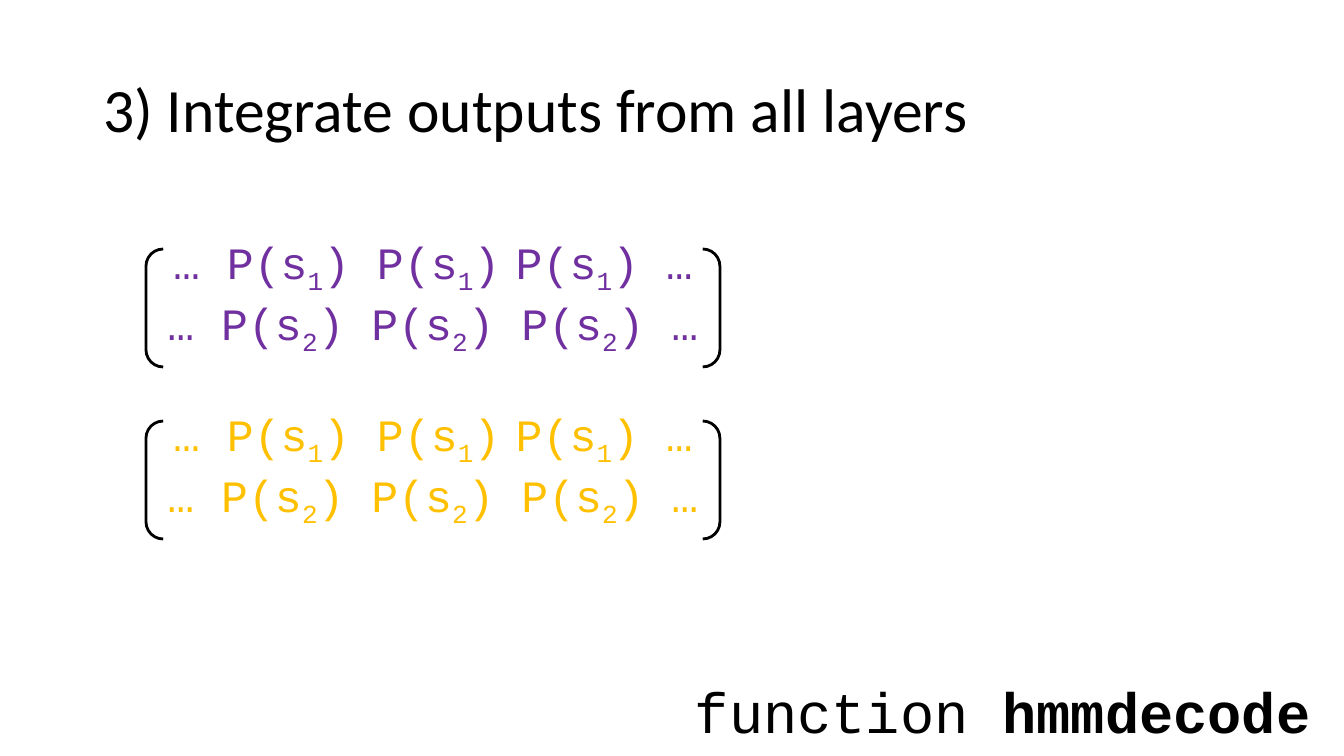
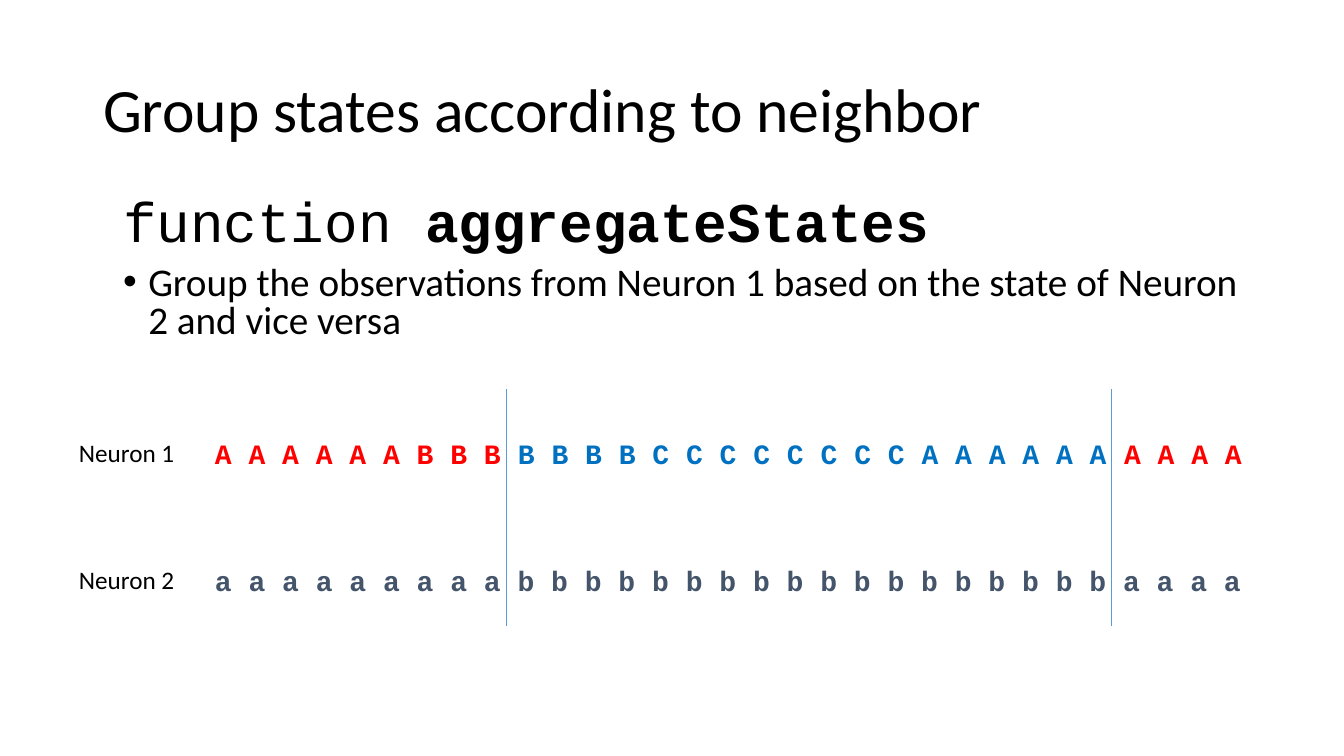
from lxml.etree import SubElement
from pptx import Presentation
from pptx.dml.color import RGBColor
from pptx.enum.shapes import MSO_CONNECTOR as CONN, MSO_SHAPE as SHAPE
from pptx.enum.text import MSO_ANCHOR as ANCHOR, MSO_AUTO_SIZE as AUTO, PP_ALIGN as ALIGN
from pptx.oxml.ns import qn
from pptx.util import Inches, Pt

SANS, MONO = "Calibri", "Courier New"
BLACK, PURPLE, GOLD = "000000", "7030A0", "FFC000"
RED, BLUE, SLATE, RULE = "FF0000", "0070C0", "44546A", "5B9BD5"
TITLE_ONLY, TITLE_AND_BODY = 5, 1


def px(n):
    """Turn picture pixels into EMU."""
    return round(n * 914400 / 100.8)


def rgb(value):
    """Turn a hex string into a colour."""
    return RGBColor.from_string(value)


class Deck:
    """The shared style and the current slide."""

    def __init__(self):
        """Start a wide presentation."""
        self.prs = Presentation()
        self.prs.slide_width, self.prs.slide_height = px(1344), px(756)

    def slide(self, title, layout=TITLE_ONLY):
        """Add a slide and format its title."""
        self.s = self.prs.slides.add_slide(self.prs.slide_layouts[layout])
        tf = self.place(self.s.shapes.title, (93, 40, 1159, 146), ANCHOR.MIDDLE)
        self.run(self.para(tf, align=ALIGN.LEFT, spacing=0.9), title, 44)

    def place(self, sp, box, anchor=ANCHOR.TOP):
        """Move a shape and set up its text frame."""
        sp.left, sp.top, sp.width, sp.height = map(px, box)
        tf = sp.text_frame
        tf.word_wrap, tf.auto_size = True, AUTO.NONE
        tf.vertical_anchor = anchor
        return tf

    def para(self, tf, first=True, align=None, spacing=None, before=None):
        """Return the first paragraph or a new one, formatted."""
        p = tf.paragraphs[0] if first else tf.add_paragraph()
        p.alignment, p.line_spacing = align, spacing
        if before is not None:
            p.space_before = Pt(before)
        return p

    def run(self, p, text, size, font=SANS, color=BLACK, bold=False, sub=False):
        """Add one run of text."""
        r = p.add_run()
        r.text = text
        r.font.size, r.font.name, r.font.bold = Pt(size), font, bold
        r.font.color.rgb = rgb(color)
        if sub:
            r._r.get_or_add_rPr().set("baseline", "-25000")

    def bullet(self, p, char=None):
        """Give a paragraph a bullet with a hanging indent, or none."""
        indent = Inches(0.25) if char else 0
        pPr = p._p.get_or_add_pPr()
        pPr.set("marL", str(indent))
        pPr.set("indent", str(-indent))
        if char:
            SubElement(pPr, qn("a:buFont")).set("typeface", "Arial")
            SubElement(pPr, qn("a:buChar")).set("char", char)
        else:
            SubElement(pPr, qn("a:buNone"))

    def text(self, box, runs, size, font=SANS, anchor=ANCHOR.TOP, spacing=None):
        """Add a one-line text box from (text, colour, bold) runs."""
        tf = self.place(self.s.shapes.add_textbox(0, 0, 0, 0), box, anchor)
        p = self.para(tf, spacing=spacing)
        for words, color, bold in runs:
            self.run(p, words, size, font, color, bold)

    def body(self, box, function, point):
        """Fill the body placeholder with a function name and a bullet."""
        tf = self.place(self.s.placeholders[1], box)
        p = self.para(tf, spacing=0.8, before=10)
        self.bullet(p)
        self.run(p, "function ", 40, MONO)
        self.run(p, function, 40, MONO, bold=True)
        p = self.para(tf, first=False, spacing=0.8, before=10)
        self.bullet(p, "•")
        self.run(p, point, 28)

    def matrix(self, box, color):
        """Add a bracketed matrix of state probabilities."""
        sp = self.s.shapes.add_shape(SHAPE.DOUBLE_BRACKET, 0, 0, 0, 0)
        sp.shadow.inherit = False
        sp.adjustments[0] = 0.146
        sp.fill.background()
        sp.line.color.rgb, sp.line.width = rgb(BLACK), Pt(2)
        tf = self.place(sp, box, ANCHOR.BOTTOM)
        # The last gap of the first row is as narrow as a subscript.
        for state, last_gap_is_sub in (("1", True), ("2", False)):
            p = self.para(tf, first=state == "1", align=ALIGN.CENTER)
            pieces = [("… P(s", False), (state, True), (") P(s", False), (state, True),
                      (")", False), (" ", last_gap_is_sub), ("P(s", False),
                      (state, True), (") …", False)]
            for words, sub in pieces:
                self.run(p, words, 32, MONO, color, sub=sub)

    def divider(self, x, top, bottom):
        """Add a thin vertical line."""
        c = self.s.shapes.add_connector(CONN.STRAIGHT, px(x), px(bottom), px(x), px(top))
        c.line.color.rgb, c.line.width = rgb(RULE), Pt(0.5)
        SubElement(c._element.spPr, qn("a:effectLst"))


def integrate_slide(deck):
    """Build the slide on joining layer outputs."""
    deck.slide("3) Integrate outputs from all layers")
    for top, color in ((249, PURPLE), (421, GOLD)):
        deck.matrix((146, top, 574, 118), color)
    deck.text((685, 679, 682, 73),
              [("function ", BLACK, False), ("hmmdecode", BLACK, True)],
              40.7, MONO, ANCHOR.MIDDLE, 0.9)


def group_slide(deck):
    """Build the slide on grouping observations by neighbor state."""
    deck.slide("Group states according to neighbor", TITLE_AND_BODY)
    deck.body((113, 194, 1140, 157), "aggregateStates",
              "Group the observations from Neuron 1 based on the state of Neuron 2 and vice versa")
    neurons = (
        ("Neuron 1", 432, [("AAAAAABBB", RED), ("BBBBCCCCCCCCAAAAAA", BLUE), ("AAAA", RED)]),
        ("Neuron 2", 559, [("a" * 9 + "b" * 18 + "a" * 4, SLATE)]),
    )
    for name, top, groups in neurons:
        deck.text((69, top, 136, 40), [(name, BLACK, False)], 18)
        last = len(groups) - 1
        runs = [(" ".join(states) + (" " if i < last else ""), color, True)
                for i, (states, color) in enumerate(groups)]
        deck.text((205, top, 1115, 44), runs, 20, MONO)
    for x in (506, 1111):
        deck.divider(x, 389, 626)


deck = Deck()
integrate_slide(deck)
group_slide(deck)
deck.prs.save("out.pptx")
